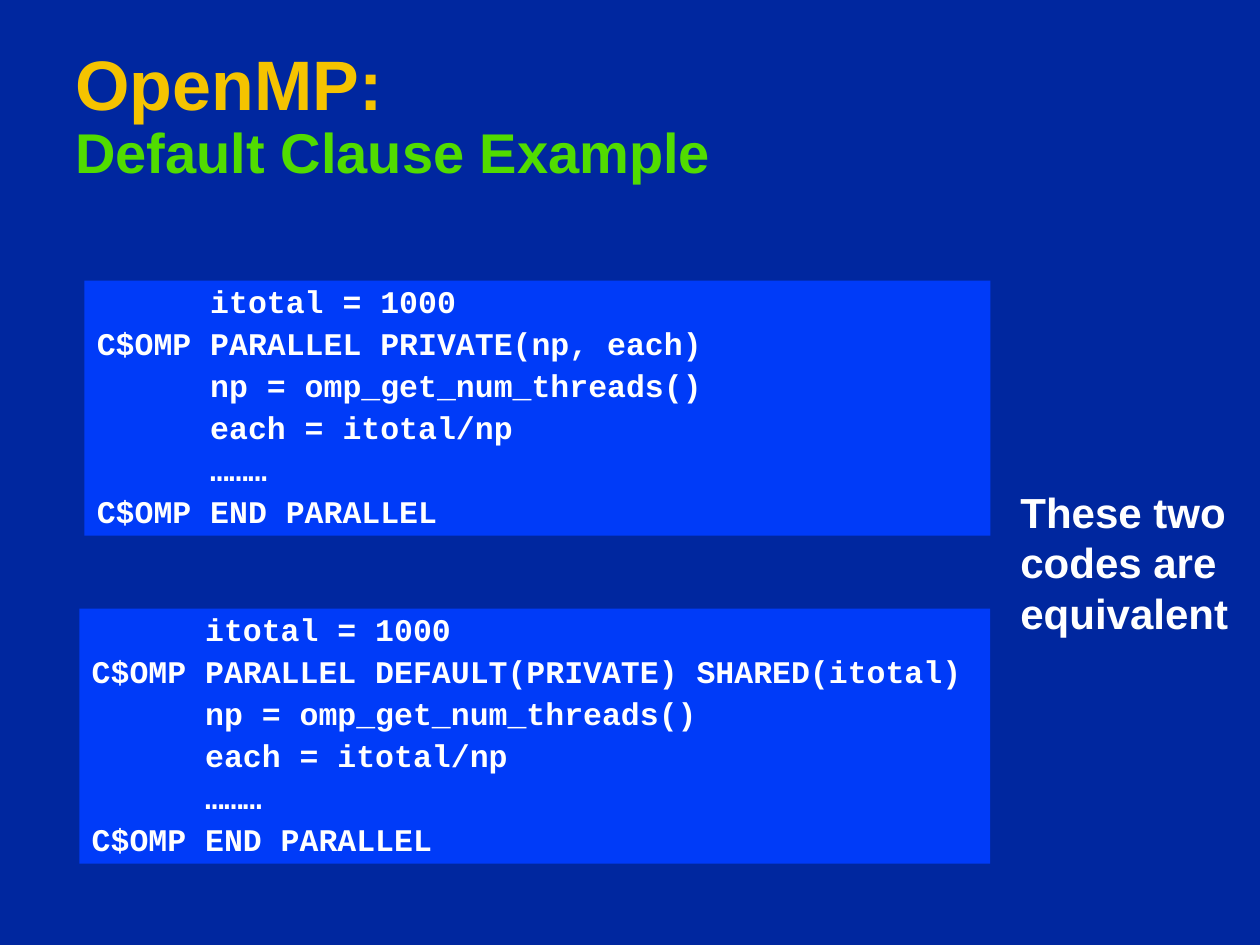
"""Build the OpenMP default clause slide: two equivalent listings and a remark."""
from dataclasses import dataclass

from pptx import Presentation
from pptx import util as u
from pptx.dml.color import RGBColor
from pptx.enum import shapes, text


@dataclass(frozen=True)
class Theme:
    background: RGBColor = RGBColor.from_string("00279F")
    panel: RGBColor = RGBColor.from_string("003BF8")
    heading: RGBColor = RGBColor.from_string("F5C300")
    subheading: RGBColor = RGBColor.from_string("51DC00")
    body: RGBColor = RGBColor.from_string("FFFFFF")
    sans: str = "Arial"
    mono: str = "Courier New"
    heading_size: int = 40
    subheading_size: int = 32
    remark_size: int = 24
    code_size: int = 18


@dataclass(frozen=True)
class Area:
    left: float
    top: float
    width: float
    height: float

    def scaled(self, width: int, height: int) -> tuple[int, ...]:
        shares = (self.left, self.top, self.width, self.height)
        return tuple(round(share * side) for share, side in zip(shares, (width, height) * 2))


@dataclass(frozen=True)
class Listing:
    left: float
    top: float
    clauses: str


THEME = Theme()
WIDTH, HEIGHT = u.Inches(10), u.Inches(7.5)
PANEL_RIGHT, PANEL_HEIGHT = 0.786, 0.27
TITLE_AREA = Area(0.05, 0.036, 0.929, 0.167)
REMARK_AREA = Area(0.8, 0.508, 0.192, 0.173)
LISTINGS = (
    Listing(0.063, 0.644, "DEFAULT(PRIVATE) SHARED(itotal)"),
    Listing(0.067, 0.297, "PRIVATE(np, each)"),
)
CODE = """\
      itotal = 1000
C$OMP PARALLEL {clauses}
      np = omp_get_num_threads()
      each = itotal/np
      ………
C$OMP END PARALLEL"""


def set_font(font, name: str, size: int, color: RGBColor) -> None:
    font.name, font.size, font.bold = name, u.Pt(size), True
    font.color.rgb = color


def add_text_area(slide, area: Area, anchor):
    frame = slide.shapes.add_textbox(*area.scaled(WIDTH, HEIGHT)).text_frame
    frame.word_wrap = True
    frame.vertical_anchor = anchor
    return frame.paragraphs[0]


def add_title(slide) -> None:
    paragraph = add_text_area(slide, TITLE_AREA, text.MSO_ANCHOR.BOTTOM)
    paragraph.line_spacing = 0.89
    heading = paragraph.add_run()
    heading.text = "OpenMP:"
    set_font(heading.font, THEME.sans, THEME.heading_size, THEME.heading)
    paragraph.add_line_break()
    subheading = paragraph.add_run()
    subheading.text = "Default Clause Example"
    set_font(subheading.font, THEME.sans, THEME.subheading_size, THEME.subheading)


def add_listing(slide, listing: Listing) -> None:
    area = Area(listing.left, listing.top, PANEL_RIGHT - listing.left, PANEL_HEIGHT)
    shape = slide.shapes.add_shape(shapes.MSO_SHAPE.RECTANGLE, *area.scaled(WIDTH, HEIGHT))
    shape.shadow.inherit = False
    shape.fill.solid()
    shape.fill.fore_color.rgb = THEME.panel
    shape.line.fill.background()
    frame = shape.text_frame
    frame.word_wrap = True
    frame.vertical_anchor = text.MSO_ANCHOR.MIDDLE
    frame.text = CODE.format(clauses=listing.clauses)
    for index, paragraph in enumerate(frame.paragraphs):
        paragraph.alignment = text.PP_ALIGN.LEFT
        paragraph.line_spacing = 0.9
        paragraph.space_before = u.Pt(4.5 if index else 0)
        set_font(paragraph.font, THEME.mono, THEME.code_size, THEME.body)


def add_remark(slide) -> None:
    paragraph = add_text_area(slide, REMARK_AREA, text.MSO_ANCHOR.TOP)
    paragraph.text = "These two codes are equivalent"
    set_font(paragraph.font, THEME.sans, THEME.remark_size, THEME.body)


def main() -> None:
    presentation = Presentation()
    presentation.slide_width, presentation.slide_height = WIDTH, HEIGHT
    slide = presentation.slides.add_slide(presentation.slide_layouts[6])
    slide.background.fill.solid()
    slide.background.fill.fore_color.rgb = THEME.background
    add_title(slide)
    for listing in LISTINGS:
        add_listing(slide, listing)
    add_remark(slide)
    presentation.save("out.pptx")


if __name__ == "__main__":
    main()
